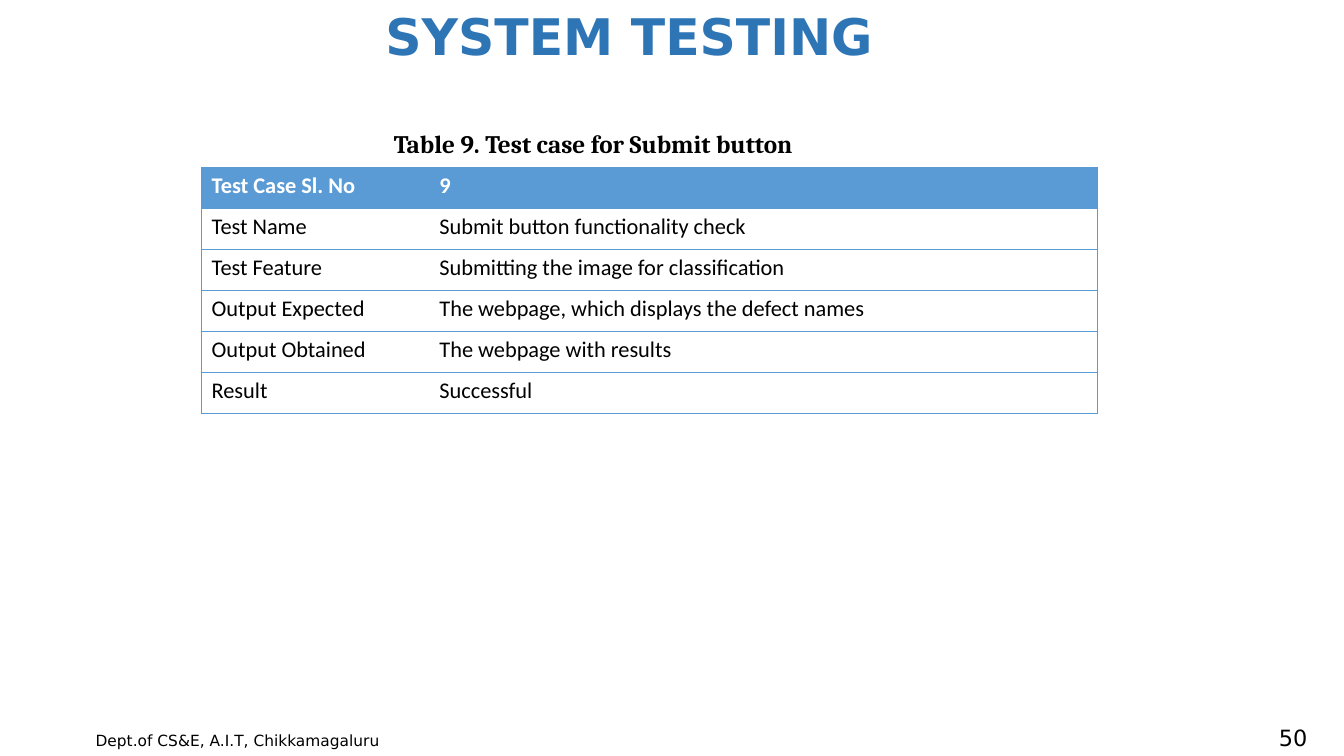
from lxml import etree
from pptx import Presentation
from pptx.dml.color import RGBColor
from pptx.enum.text import MSO_ANCHOR, PP_ALIGN
from pptx.oxml.ns import qn
from pptx.util import Pt

LEFT, CENTER, RIGHT = PP_ALIGN.LEFT, PP_ALIGN.CENTER, PP_ALIGN.RIGHT
TOP, MIDDLE = MSO_ANCHOR.TOP, MSO_ANCHOR.MIDDLE

COLORS = {"title": "2E75B6", "accent": "5B9BD5", "text": "000000", "header": "FFFFFF"}
SANS, SERIF, BODY = "DejaVu Sans", "Cambria", "Calibri"

TEST_CASE = [
    ("Test Case Sl. No", "9"),
    ("Test Name", "Submit button functionality check"),
    ("Test Feature", "Submitting the image for classification"),
    ("Output Expected", "The webpage, which displays the defect names"),
    ("Output Obtained", "The webpage with results"),
    ("Result", "Successful"),
]


def style_text(paragraph, size, face, color, bold=False):
    """Set the font of every run in a paragraph."""
    for run in paragraph.runs:
        run.font.size = Pt(size)
        run.font.name = face
        run.font.bold = bold
        run.font.color.rgb = RGBColor.from_string(COLORS[color])


def add_label(slide, box, text, size, face, color="text", bold=False,
              align=LEFT, anchor=TOP, wrap=True):
    """Place one line of text in a box given as left, top, width, height."""
    frame = slide.shapes.add_textbox(*map(Pt, box)).text_frame
    frame.word_wrap = wrap
    frame.vertical_anchor = anchor
    frame.text = text
    frame.paragraphs[0].alignment = align
    style_text(frame.paragraphs[0], size, face, color, bold)


def add_borders(cell, sides):
    """Draw thin accent lines on the named sides and none on the others."""
    properties = cell._tc.get_or_add_tcPr()
    for side in "LRTB":
        line = etree.SubElement(properties, qn(f"a:ln{side}"), w=str(Pt(0.5)))
        if side in sides:
            fill = etree.SubElement(line, qn("a:solidFill"))
            etree.SubElement(fill, qn("a:srgbClr"), val=COLORS["accent"])
        else:
            etree.SubElement(line, qn("a:noFill"))


def add_test_table(slide, box, label_width):
    """Fill the box with the test case table, its first row as header."""
    left, top, width, height = box
    table = slide.shapes.add_table(len(TEST_CASE), 2, *map(Pt, box)).table
    table.horz_banding = False
    table.columns[0].width = Pt(label_width)
    table.columns[1].width = Pt(width - label_width)
    for row_index, entries in enumerate(TEST_CASE):
        is_header = row_index == 0
        table.rows[row_index].height = Pt(height / len(TEST_CASE))
        for column_index, entry in enumerate(entries):
            cell = table.cell(row_index, column_index)
            cell.text = entry
            style_text(cell.text_frame.paragraphs[0], 16, BODY,
                       "header" if is_header else "text", is_header)
            add_borders(cell, "TB" + "LR"[column_index])
            if is_header:
                cell.fill.solid()
                cell.fill.fore_color.rgb = RGBColor.from_string(COLORS["accent"])
            else:
                cell.fill.background()


def add_footer(slide, box):
    """Place the department at the left of the box and the page number at its right."""
    left, top, width, height = box
    number_width = 36
    add_label(slide, (left, top + 3.5, 226, 21), "Dept.of CS&E, A.I.T, Chikkamagaluru",
              11, SANS)
    add_label(slide, (left + width - number_width, top, number_width, height), "50",
              16, SANS, align=RIGHT, anchor=MIDDLE, wrap=False)


def add_test_slide(presentation):
    """Build the system testing slide."""
    slide = presentation.slides.add_slide(presentation.slide_layouts[6])
    add_footer(slide, (61.2, 515.5, 879.8, 23))
    add_label(slide, (208.8, 0, 481, 51), "SYSTEM TESTING", 36, SANS, "title", True, CENTER)
    add_test_table(slide, (144, 119.5, 640, 175.7), 162.7)
    add_label(slide, (274.3, 87.8, 309.6, 28.8), "Table 9. Test case for Submit button",
              18, SERIF, bold=True, wrap=False)


def main():
    """Create and save the presentation."""
    presentation = Presentation()
    presentation.slide_width, presentation.slide_height = Pt(960), Pt(540)
    add_test_slide(presentation)
    presentation.save("out.pptx")


if __name__ == "__main__":
    main()
